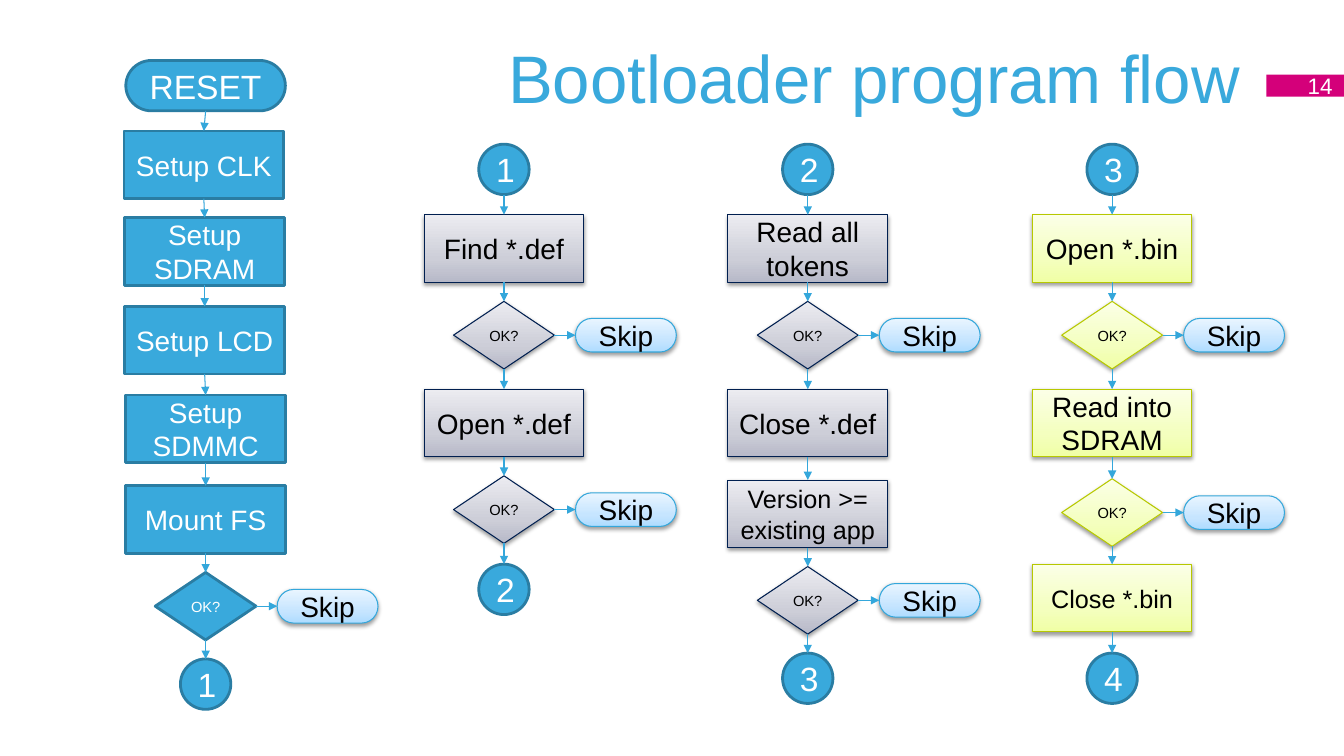
"""Build the bootloader program flow slide."""
from copy import deepcopy
from dataclasses import dataclass

from lxml import etree
from pptx import Presentation
from pptx.dml.color import RGBColor
from pptx.enum.shapes import MSO_CONNECTOR, MSO_SHAPE
from pptx.enum.text import MSO_ANCHOR, PP_ALIGN
from pptx.oxml.ns import qn
from pptx.util import Pt

RECTANGLE = MSO_SHAPE.RECTANGLE
PROCESS = MSO_SHAPE.FLOWCHART_PROCESS
DECISION = MSO_SHAPE.FLOWCHART_DECISION
TERMINATOR = MSO_SHAPE.FLOWCHART_TERMINATOR
CIRCLE = MSO_SHAPE.FLOWCHART_CONNECTOR
STRAIGHT = MSO_CONNECTOR.STRAIGHT
MIDDLE = MSO_ANCHOR.MIDDLE
CENTER, RIGHT = PP_ALIGN.CENTER, PP_ALIGN.RIGHT
TOP_SIDE, LEFT_SIDE, BOTTOM_SIDE, RIGHT_SIDE = range(4)

COLORS = {
    "blue": "39A9DC", "blue edge": "2A7DA3", "arrow": "34A7DB",
    "pink": "D4007A", "white": "FFFFFF", "black": "000000",
    "navy": "001F50", "lime": "B7C800",
    "sky low": "AFDCFF", "sky mid": "C6E5FF", "sky high": "E9F5FF",
    "gray low": "B7B9C8", "gray mid": "CDCED8", "gray high": "ECECF1",
    "lime low": "F0FFA5", "lime mid": "F4FFBF", "lime high": "FBFFE7",
}
SIZES = {PROCESS: (114, 48.24), DECISION: (72, 48.24), TERMINATOR: (114, 36), CIRCLE: (36, 36)}
FONT_SIZES = {PROCESS: 20, DECISION: 10.5, TERMINATOR: 24, CIRCLE: 24}
STOP_POSITIONS = (0, 0.35, 1)
SKIP_WIDTH, SKIP_HEIGHT, SKIP_OFFSET = 72, 24, 51.12


@dataclass(frozen=True)
class Style:
    fills: tuple
    edge: str
    edge_width: float
    text: str


@dataclass(frozen=True)
class Step:
    kind: int
    label: str
    top: float
    font_size: float = 0
    shift: float = 0


@dataclass(frozen=True)
class Column:
    center: float
    style: Style
    steps: tuple


SOLID = Style(("blue",), "blue edge", 2, "white")
SKY = Style(("sky low", "sky mid", "sky high"), "arrow", 0.75, "black")
GRAY = Style(("gray low", "gray mid", "gray high"), "navy", 0.75, "black")
LIME = Style(("lime low", "lime mid", "lime high"), "lime", 0.75, "black")

COLUMNS = (
    Column(146.9, SOLID, (
        Step(TERMINATOR, "RESET", 43.2),
        Step(PROCESS, "Setup CLK", 93.6, shift=-1.3),
        Step(PROCESS, "Setup SDRAM", 155.5, shift=-0.7),
        Step(PROCESS, "Setup LCD", 218.9, shift=-0.7),
        Step(PROCESS, "Setup SDMMC", 282.2),
        Step(PROCESS, "Mount FS", 347),
        Step(DECISION, "OK?", 408.9),
        Step(CIRCLE, "1", 470.7),
    )),
    Column(360, GRAY, (
        Step(CIRCLE, "1", 103),
        Step(PROCESS, "Find *.def", 153.4),
        Step(DECISION, "OK?", 215.3),
        Step(PROCESS, "Open *.def", 278),
        Step(DECISION, "OK?", 339.9),
        Step(CIRCLE, "2", 403),
    )),
    Column(577, GRAY, (
        Step(CIRCLE, "2", 103),
        Step(PROCESS, "Read all tokens", 153.4),
        Step(DECISION, "OK?", 215.3),
        Step(PROCESS, "Close *.def", 278),
        Step(PROCESS, "Version >= existing app", 342.9, 18),
        Step(DECISION, "OK?", 404.7),
        Step(CIRCLE, "3", 466.5),
    )),
    Column(794.4, LIME, (
        Step(CIRCLE, "3", 103),
        Step(PROCESS, "Open *.bin", 153.4),
        Step(DECISION, "OK?", 215.3),
        Step(PROCESS, "Read into SDRAM", 278),
        Step(DECISION, "OK?", 342),
        Step(PROCESS, "Close *.bin", 403.2, 18),
        Step(CIRCLE, "4", 466.5),
    )),
)


def rgb(name: str) -> RGBColor:
    return RGBColor.from_string(COLORS[name])


def write_text(shape, text: str, *, size: float, color: str, align=CENTER, wrap=True, insets=(7.2, 3.6)) -> None:
    frame = shape.text_frame
    frame.word_wrap = wrap
    frame.vertical_anchor = MIDDLE
    frame.margin_left = frame.margin_right = Pt(insets[0])
    frame.margin_top = frame.margin_bottom = Pt(insets[1])
    paragraph = frame.paragraphs[0]
    paragraph.alignment = align
    run = paragraph.add_run()
    run.text = text
    run.font.name = "Arial"
    run.font.size = Pt(size)
    run.font.color.rgb = rgb(color)


def fill_gradient(shape, names: tuple) -> None:
    shape.fill.gradient()
    shape.fill.gradient_angle = 90
    stop_list = next(shape._element.spPr.iter(qn("a:gsLst")))
    stop_list.append(deepcopy(stop_list[0]))
    for stop, position, name in zip(shape.fill.gradient_stops, STOP_POSITIONS, names):
        stop.position = position
        stop.color.rgb = rgb(name)


def add_shadow(shape) -> None:
    effects = shape._element.spPr.find(qn("a:effectLst"))
    shadow = etree.SubElement(effects, qn("a:outerShdw"), blurRad=str(Pt(3.1)),
                              dist=str(Pt(1.6)), dir="5400000", rotWithShape="0")
    color = etree.SubElement(shadow, qn("a:srgbClr"), val=COLORS["black"])
    etree.SubElement(color, qn("a:alpha"), val="38000")


def add_node(slide, kind: int, box: tuple, style: Style, label: str, size: float):
    shape = slide.shapes.add_shape(kind, *map(Pt, box))
    shape.shadow.inherit = False
    shape.line.color.rgb = rgb(style.edge)
    shape.line.width = Pt(style.edge_width)
    if len(style.fills) > 1:
        fill_gradient(shape, style.fills)
        add_shadow(shape)
    else:
        shape.fill.solid()
        shape.fill.fore_color.rgb = rgb(style.fills[0])
    write_text(shape, label, size=size, color=style.text)
    return shape


def add_arrow(slide, source, source_side: int, target, target_side: int) -> None:
    connector = slide.shapes.add_connector(
        STRAIGHT, source.left + source.width // 2, source.top + source.height, target.left, target.top)
    if source.auto_shape_type != CIRCLE:
        connector.begin_connect(source, source_side)
    connector.end_connect(target, target_side)
    connector.line.color.rgb = rgb("arrow")
    connector.line.width = Pt(0.75)
    etree.SubElement(connector.line._get_or_add_ln(), qn("a:tailEnd"), type="triangle")
    etree.SubElement(connector._element.spPr, qn("a:effectLst"))


def add_column(slide, column: Column) -> None:
    previous = None
    for step in column.steps:
        width, height = SIZES[step.kind]
        style = SOLID if step.kind == CIRCLE else column.style
        box = (column.center + step.shift - width / 2, step.top, width, height)
        node = add_node(slide, step.kind, box, style, step.label, step.font_size or FONT_SIZES[step.kind])
        if previous is not None:
            add_arrow(slide, previous, BOTTOM_SIDE, node, TOP_SIDE)
        if step.kind == DECISION:
            skip_box = (column.center + SKIP_OFFSET, step.top + (height - SKIP_HEIGHT) / 2, SKIP_WIDTH, SKIP_HEIGHT)
            skip = add_node(slide, TERMINATOR, skip_box, SKY, "Skip", 20)
            add_arrow(slide, node, RIGHT_SIDE, skip, LEFT_SIDE)
        previous = node


def main() -> None:
    presentation = Presentation()
    presentation.slide_width, presentation.slide_height = Pt(960), Pt(540)
    slide = presentation.slides.add_slide(presentation.slide_layouts[6])
    title = slide.shapes.add_textbox(Pt(48), Pt(9.4), Pt(847.4), Pt(90))
    write_text(title, "Bootloader program flow", size=48, color="blue", align=RIGHT, insets=(9.4, 5))
    badge = slide.shapes.add_shape(RECTANGLE, Pt(904.5), Pt(53.3), Pt(56.7), Pt(15.8))
    badge.shadow.inherit = False
    badge.fill.solid()
    badge.fill.fore_color.rgb = rgb("pink")
    badge.line.fill.background()
    write_text(badge, "14", size=16, color="white", align=RIGHT, wrap=False, insets=(9.4, 5))
    for column in COLUMNS:
        add_column(slide, column)
    presentation.save("out.pptx")


if __name__ == "__main__":
    main()
